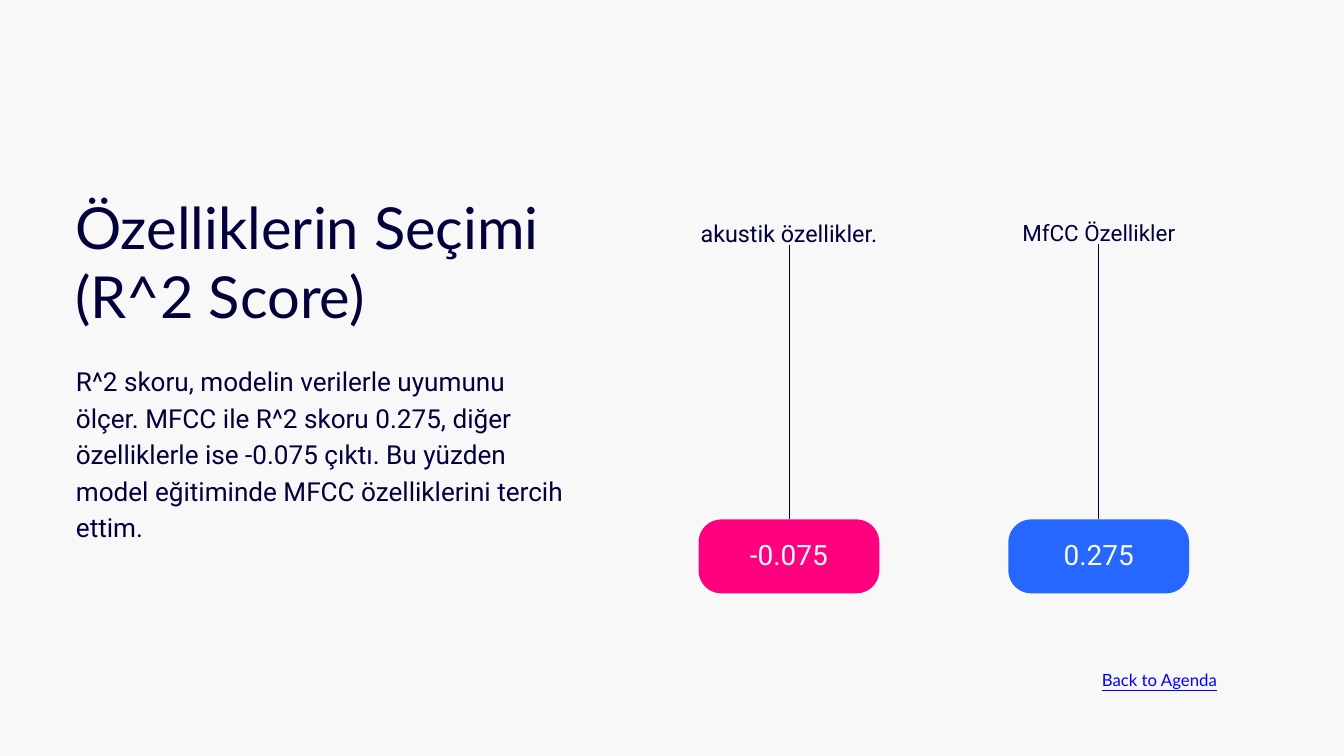
from dataclasses import dataclass

from lxml.etree import SubElement
from pptx import Presentation
from pptx.dml.color import RGBColor
from pptx.enum.shapes import MSO_CONNECTOR as Connector, MSO_SHAPE as Shape
from pptx.enum.text import MSO_ANCHOR as Anchor, MSO_AUTO_SIZE as AutoSize, PP_ALIGN as Align
from pptx.oxml.ns import qn
from pptx.util import Emu, Inches, Pt

NAVY, PAPER, PINK, BLUE, LINK = "01003B", "F8F8F8", "FF007E", "2667FF", "0000FF"
COLUMNS, ROWS = 20, 11.25
SLIDE_WIDTH, SLIDE_HEIGHT = Inches(20), Inches(11.25)
LABEL_TOP, BADGE_TOP = 3.19, 7.73
BADGE_WIDTH, BADGE_HEIGHT = 2.69, 1.1


@dataclass
class Score:
    centre: float
    label: str
    label_width: float
    label_height: float
    label_size: float
    label_spacing: float
    value: str
    fill: str


SCORES = [
    Score(11.74, "akustik özellikler.", 3.24, 0.46, 25, 35, "-0.075", PINK),
    Score(16.35, "MfCC Özellikler", 2.83, 0.44, 24, 33.6, "0.275", BLUE),
]


def colour(value: str) -> RGBColor:
    return RGBColor.from_string(value)


def grid(left: float, top: float, width: float, height: float) -> tuple:
    """Turn columns and rows of the slide grid into lengths."""
    column, row = SLIDE_WIDTH / COLUMNS, SLIDE_HEIGHT / ROWS
    return (Emu(round(left * column)), Emu(round(top * row)),
            Emu(round(width * column)), Emu(round(height * row)))


def remove_bullet(para) -> None:
    properties = para._p.get_or_add_pPr()
    properties.set("marL", "0")
    properties.set("indent", "0")
    SubElement(properties, qn("a:buNone"))


def write(shape, text: str, font: str, size: float, spacing: float,
          ink: str = NAVY, align=Align.LEFT, anchor=Anchor.TOP):
    frame = shape.text_frame
    frame.text = text
    frame.word_wrap = True
    frame.auto_size = AutoSize.NONE
    frame.vertical_anchor = anchor
    frame.margin_left = frame.margin_right = frame.margin_top = frame.margin_bottom = 0
    para = frame.paragraphs[0]
    if shape.is_placeholder:
        remove_bullet(para)
    para.alignment = align
    para.line_spacing = Pt(spacing)
    para.space_before = Pt(0)
    para.font.name = font
    para.font.size = Pt(size)
    para.font.color.rgb = colour(ink)
    return para


def place(shape, left: float, top: float, width: float, height: float) -> None:
    shape.left, shape.top, shape.width, shape.height = grid(left, top, width, height)


def draw_score(page, score: Score) -> None:
    # Label
    label = page.shapes.add_textbox(*grid(
        score.centre - score.label_width / 2, LABEL_TOP, score.label_width, score.label_height))
    write(label, score.label, "Roboto", score.label_size, score.label_spacing,
          align=Align.CENTER)

    # Badge with its value
    badge = page.shapes.add_shape(Shape.ROUNDED_RECTANGLE, *grid(
        score.centre - BADGE_WIDTH / 2, BADGE_TOP, BADGE_WIDTH, BADGE_HEIGHT))
    badge.adjustments[0] = 0.31
    badge.shadow.inherit = False
    badge.fill.solid()
    badge.fill.fore_color.rgb = colour(score.fill)
    badge.line.fill.background()
    write(badge, score.value, "Roboto", 30, 42, PAPER, Align.CENTER, Anchor.MIDDLE)
    badge.text_frame.margin_bottom = Inches(0.15)

    # Stem from badge to label
    stem = page.shapes.add_connector(Connector.STRAIGHT, 0, 0, 0, 0)
    stem.begin_connect(badge, 0)
    stem.end_connect(label, 2)
    stem.line.color.rgb = colour(NAVY)
    stem.line.width = Pt(0.75)
    SubElement(stem._element.spPr, qn("a:effectLst"))


def main() -> None:
    deck = Presentation()
    deck.slide_width, deck.slide_height = SLIDE_WIDTH, SLIDE_HEIGHT
    page = deck.slides.add_slide(deck.slide_layouts[1])
    page.background.fill.solid()
    page.background.fill.fore_color.rgb = colour(PAPER)

    # Title and explanation
    title, body = page.placeholders
    place(title, 1.12, 2.85, 8.03, 2.06)
    write(title, "Özelliklerin Seçimi (R^2 Score)", "Lato", 62, 74.4)
    place(body, 1.13, 5.36, 7.27, 2.68)
    write(body, "R^2 skoru, modelin verilerle uyumunu ölçer. MFCC ile R^2 skoru 0.275, "
                "diğer özelliklerle ise -0.075 çıktı. Bu yüzden model eğitiminde MFCC "
                "özelliklerini tercih ettim.", "Roboto", 28, 39.2)

    # Score comparison
    for score in SCORES:
        draw_score(page, score)

    # Agenda reference
    agenda = page.shapes.add_textbox(*grid(15.94, 9.94, 2.17, 0.31))
    para = write(agenda, "Back to Agenda", "Lato", 18, 23.4, LINK, Align.RIGHT)
    para.font.underline = True

    deck.save("out.pptx")


if __name__ == "__main__":
    main()
